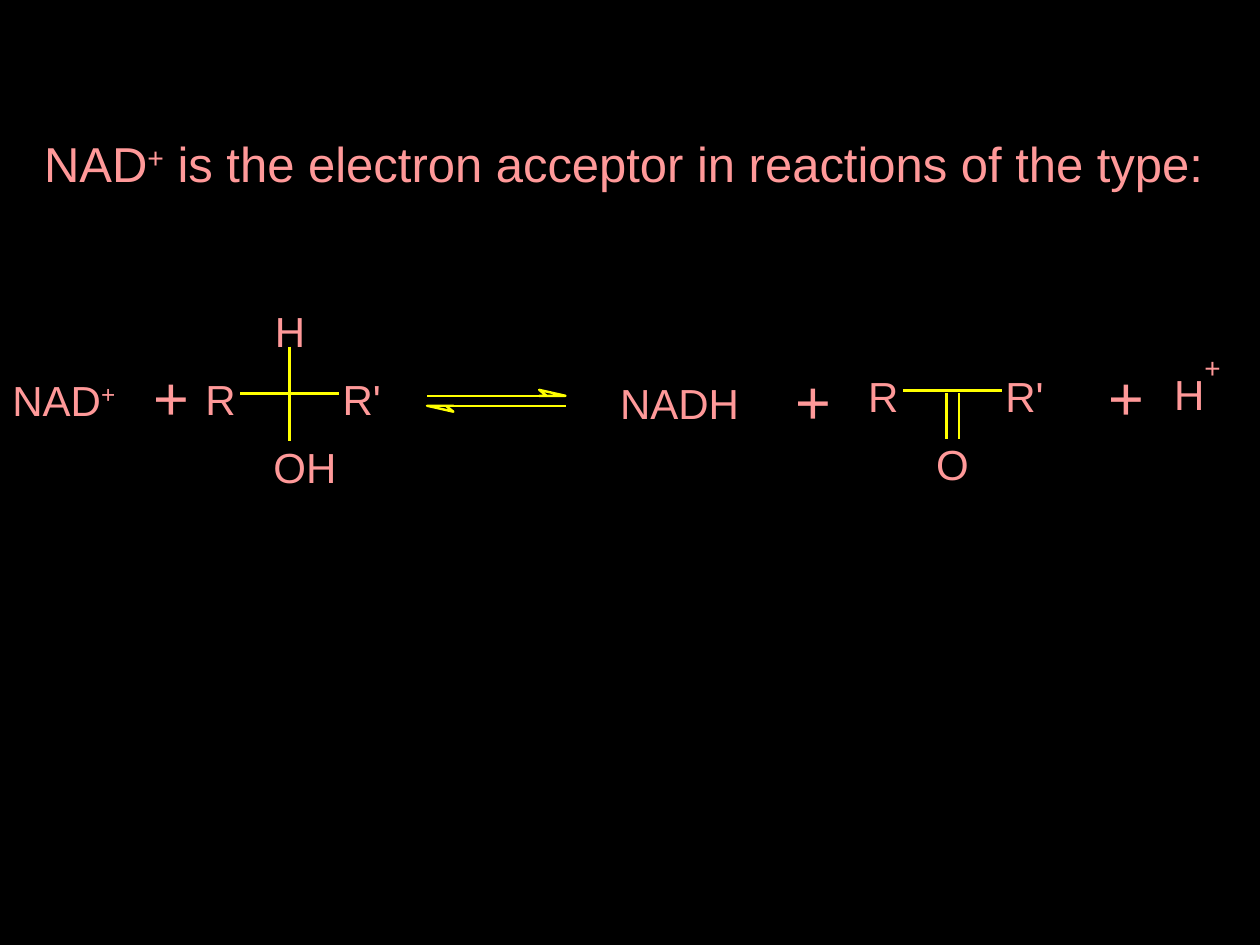
from typing import NamedTuple

from lxml import etree
from pptx import Presentation
from pptx.dml.color import RGBColor
from pptx.enum.shapes import MSO_CONNECTOR
from pptx.enum.text import MSO_ANCHOR, MSO_AUTO_SIZE
from pptx.oxml.ns import qn
from pptx.util import Cm, Pt

STRAIGHT = MSO_CONNECTOR.STRAIGHT
TOP, MIDDLE = MSO_ANCHOR.TOP, MSO_ANCHOR.MIDDLE
FIT_SHAPE, NO_FIT = MSO_AUTO_SIZE.SHAPE_TO_FIT_TEXT, MSO_AUTO_SIZE.NONE

BLACK = RGBColor(0x00, 0x00, 0x00)
PINK = RGBColor(0xFF, 0x99, 0x99)
YELLOW = RGBColor(0xFF, 0xFF, 0x00)
FONT = "Arial"
LINE_WIDTH = Pt(1.38)


class Label(NamedTuple):
    """A piece of text; all lengths are in centimetres."""
    text: str
    x: float
    y: float
    width: float = 0.61
    height: float = 1.02
    size: float = 24


class Bond(NamedTuple):
    x1: float
    y1: float
    x2: float
    y2: float


# Parts of the molecules, measured from the central carbon
SIDE_GROUPS = [Label("R", -1.7, -0.41), Label("R", 1.07, -0.41),
               Label("'", 1.68, -0.41, 0.15), Label("O", -0.33, 0.97, 0.66)]
SIDE_BONDS = [Bond(0, 0, -1, 0), Bond(0, 0, 1, 0)]
ALCOHOL_ATOMS = [Label("H", -0.3, -1.78), Label("H", 0.33, 0.97)]
ALCOHOL_BONDS = [Bond(0, -0.94, 0, 0), Bond(0, 0, 0, 0.97)]
DOUBLE_BOND = [Bond(x, 0.05, x, 0.97) for x in (-0.12, 0.13)]

# Free-standing species and signs
SPECIES = [Label("NADH", 12.5, 7.62, 2.41), Label("H", 23.67, 7.42),
           Label("+", 24.28, 7.06, 0.33, 0.69, 16)]
PLUS_SIGNS = [Label("+", x, y, 0.71, 1.47, 35)
              for x, y in ((3.1, 7.24), (16.03, 7.32), (22.35, 7.24))]


def add_text(slide, label: Label, *, superscript: str = "", rest: str = "",
             margins: bool = False, wrap: bool = False,
             anchor=TOP, auto_size=FIT_SHAPE) -> None:
    box = slide.shapes.add_textbox(Cm(label.x), Cm(label.y),
                                   Cm(label.width), Cm(label.height))
    frame = box.text_frame
    frame.word_wrap = wrap
    frame.auto_size = auto_size
    frame.vertical_anchor = anchor
    if not margins:
        frame.margin_left = frame.margin_right = 0
        frame.margin_top = frame.margin_bottom = 0
    for text in filter(None, (label.text, superscript, rest)):
        run = frame.paragraphs[0].add_run()
        run.text = text
        run.font.name = FONT
        run.font.size = Pt(label.size)
        run.font.color.rgb = PINK
        if text == superscript:
            run._r.get_or_add_rPr().set("baseline", "30000")


def add_line(slide, bond: Bond) -> None:
    line = slide.shapes.add_connector(STRAIGHT, *(Cm(value) for value in bond))
    line.line.color.rgb = YELLOW
    line.line.width = LINE_WIDTH
    etree.SubElement(line._element.spPr, qn("a:effectLst"))


def add_molecule(slide, x: float, y: float,
                 atoms: list[Label], bonds: list[Bond]) -> None:
    for bond in bonds:
        add_line(slide, Bond(x + bond.x1, y + bond.y1, x + bond.x2, y + bond.y2))
    for atom in atoms:
        add_text(slide, atom._replace(x=x + atom.x, y=y + atom.y))


def add_half_arrow(slide, tail: float, tip: float, y: float) -> None:
    """Arrow with one barb, on the left of its direction."""
    direction = 1 if tip > tail else -1
    base = tip - 0.53 * direction
    notch = base + 0.15 * direction
    add_line(slide, Bond(tail, y, base, y))
    outline = [(notch, y), (base, y - 0.12 * direction), (tip, y), (notch, y)]
    builder = slide.shapes.build_freeform(Cm(base), Cm(y))
    builder.add_line_segments([(Cm(px), Cm(py)) for px, py in outline], close=True)
    barb = builder.convert_to_shape()
    barb.shadow.inherit = False
    barb.fill.solid()
    barb.fill.fore_color.rgb = BLACK
    barb.line.color.rgb = YELLOW
    barb.line.width = LINE_WIDTH


def main() -> None:
    prs = Presentation()
    prs.slide_width, prs.slide_height = Cm(25.4), Cm(19.05)
    slide = prs.slides.add_slide(prs.slide_layouts[6])
    slide.background.fill.solid()
    slide.background.fill.fore_color.rgb = BLACK

    # Heading
    add_text(slide, Label("NAD", 0.64, 1.7, 24.13, 3.18, 28), superscript="+",
             rest=" is the electron acceptor in reactions of the type:",
             margins=True, wrap=True, anchor=MIDDLE, auto_size=NO_FIT)

    # Reactants: NAD+ and the alcohol
    add_text(slide, Label("NAD", 0, 7.42, 3.18, 1.27), superscript="+",
             margins=True, wrap=True)
    add_molecule(slide, 5.84, 7.93, SIDE_GROUPS + ALCOHOL_ATOMS,
                 SIDE_BONDS + ALCOHOL_BONDS)

    # Equilibrium arrows
    add_half_arrow(slide, 8.61, 11.4, 7.98)
    add_half_arrow(slide, 11.4, 8.61, 8.18)

    # Products: the ketone, NADH and the proton, with the plus signs
    add_molecule(slide, 19.2, 7.87, SIDE_GROUPS, SIDE_BONDS + DOUBLE_BOND)
    for label in SPECIES + PLUS_SIGNS:
        add_text(slide, label)

    prs.save("out.pptx")


if __name__ == "__main__":
    main()
